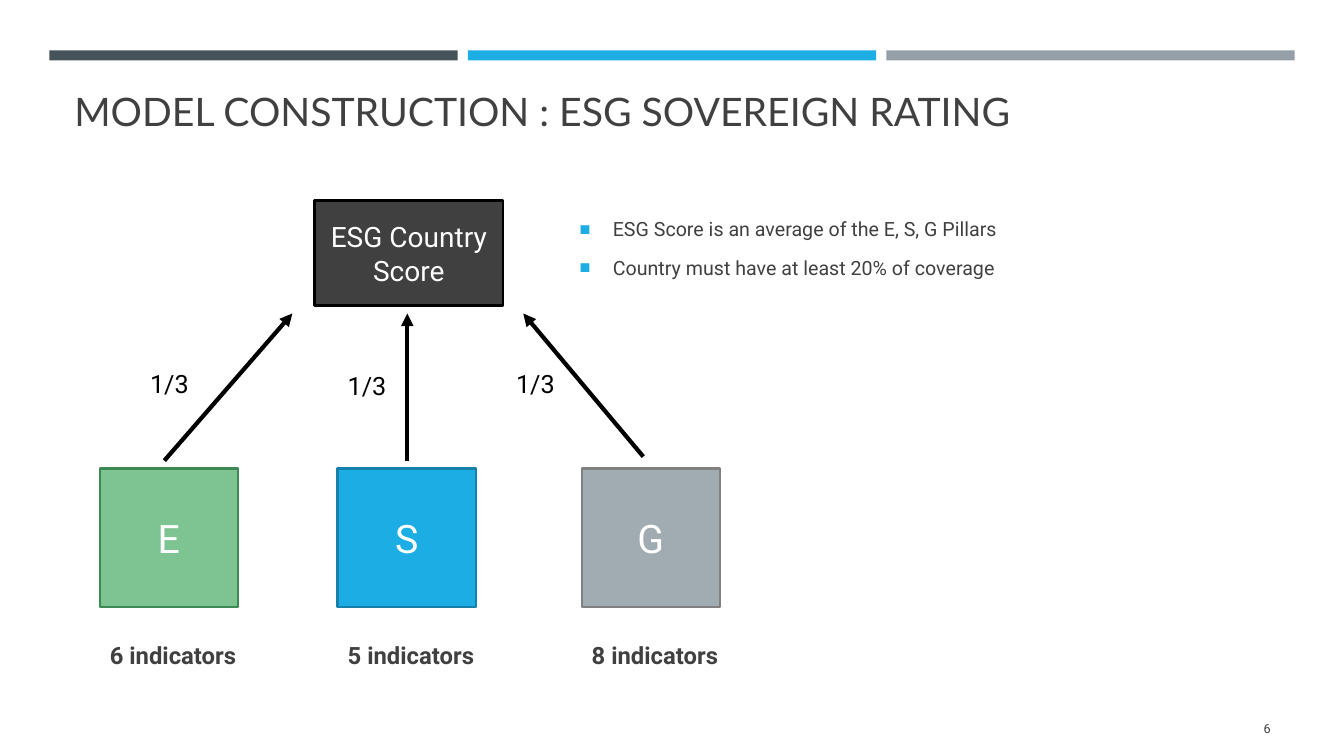
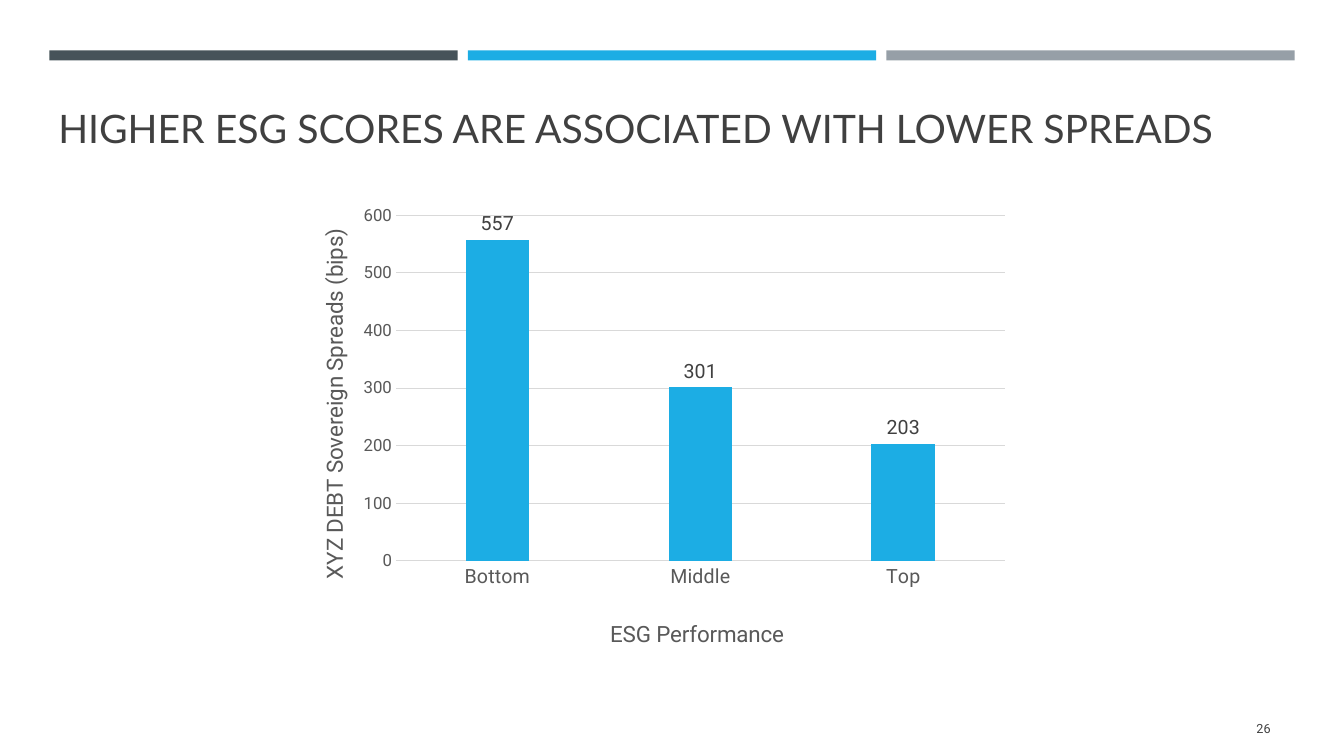
import pptx
import pptx.chart.data
import pptx.dml.color
import pptx.enum.chart
import pptx.enum.shapes
import pptx.enum.text
import pptx.oxml
import pptx.oxml.ns
import pptx.util
from collections import namedtuple

Inches = pptx.util.Inches
Pt = pptx.util.Pt
RGBColor = pptx.dml.color.RGBColor
ALIGN = pptx.enum.text.PP_ALIGN
ANCHOR = pptx.enum.text.MSO_ANCHOR
qn = pptx.oxml.ns.qn

# Shared theme
SLATE = RGBColor(0x46, 0x53, 0x59)
BLUE = RGBColor(0x1C, 0xAD, 0xE4)
STEEL = RGBColor(0x96, 0x9F, 0xA7)
CHARCOAL = RGBColor(0x40, 0x40, 0x40)
AXIS_GREY = RGBColor(0x59, 0x59, 0x59)
GRID_GREY = RGBColor(0xD9, 0xD9, 0xD9)
BLACK = RGBColor(0, 0, 0)
WHITE = RGBColor(0xFF, 0xFF, 0xFF)
GREEN = RGBColor(0x7E, 0xC4, 0x92)
GREEN_EDGE = RGBColor(0x3E, 0x88, 0x53)
BLUE_EDGE = RGBColor(0x15, 0x80, 0xA9)
GREY = RGBColor(0xA1, 0xAC, 0xB2)
GREY_EDGE = RGBColor(0x80, 0x80, 0x80)
TITLE_FONT = "Lato"
BODY_FONT = "Roboto"

# Positions are offsets from the left and top of the diagram
Pillar = namedtuple("Pillar", "letter caption fill edge left start end weight_at")
PILLARS = [
    Pillar("E", "6 indicators", GREEN, GREEN_EDGE, 0,
           (0.64, 2.58), (1.91, 1.12), (0.4, 1.61)),
    Pillar("S", "5 indicators", BLUE, BLUE_EDGE, 2.36,
           (3.05, 2.58), (3.05, 1.12), (2.36, 1.63)),
    Pillar("G", "8 indicators", GREY, GREY_EDGE, 4.78,
           (5.39, 2.54), (4.2, 1.12), (4.03, 1.61)),
]


def style_font(font, size, color, name=BODY_FONT, bold=False):
    font.size = Pt(size)
    font.color.rgb = color
    font.name = name
    font.bold = bold


def add_text(slide, box, lines, size, color=CHARCOAL, name=BODY_FONT, bold=False,
             align=ALIGN.LEFT, anchor=ANCHOR.MIDDLE):
    frame = slide.shapes.add_textbox(*map(Inches, box)).text_frame
    frame.word_wrap = True
    frame.vertical_anchor = anchor
    frame.text = lines
    for paragraph in frame.paragraphs:
        paragraph.alignment = align
        style_font(paragraph.font, size, color, name, bold)
    return frame


def add_block(slide, box, fill, edge=None, text="", size=18):
    block = slide.shapes.add_shape(
        pptx.enum.shapes.MSO_SHAPE.RECTANGLE, *map(Inches, box))
    block.shadow.inherit = False
    block.fill.solid()
    block.fill.fore_color.rgb = fill
    if edge is None:
        block.line.fill.background()
    else:
        block.line.color.rgb = edge
        block.line.width = Pt(1.75)
    if text:
        frame = block.text_frame
        frame.word_wrap = True
        frame.vertical_anchor = ANCHOR.MIDDLE
        frame.text = text
        frame.paragraphs[0].alignment = ALIGN.CENTER
        style_font(frame.paragraphs[0].font, size, WHITE)


def add_arrow(slide, start, end):
    arrow = slide.shapes.add_connector(
        pptx.enum.shapes.MSO_CONNECTOR.STRAIGHT, *map(Inches, start + end))
    arrow.line.color.rgb = BLACK
    arrow.line.width = Pt(3)
    properties = arrow.element.spPr
    line = properties.find(qn("a:ln"))
    line.append(pptx.oxml.parse_xml(
        f'<a:tailEnd {pptx.oxml.ns.nsdecls("a")} type="triangle"/>'))
    properties.append(pptx.oxml.parse_xml(
        f'<a:effectLst {pptx.oxml.ns.nsdecls("a")}/>'))


def add_base_slide(deck, title, title_box, number):
    """Blank slide with the top bands, the title and the page number."""
    slide = deck.slides.add_slide(deck.slide_layouts[6])
    for index, color in enumerate((SLATE, BLUE, STEEL)):
        add_block(slide, (0.49 + index * 4.15, 0.5, 4.05, 0.1), color)
    add_text(slide, title_box, title, 28, name=TITLE_FONT, anchor=ANCHOR.BOTTOM)
    add_text(slide, (11.55, 7.03, 1.15, 0.4), number, 9, align=ALIGN.RIGHT)
    return slide


def add_pillar_diagram(slide, left, top):
    def place(offset):
        return left + offset[0], top + offset[1]

    add_block(slide, (*place((2.13, 0)), 1.87, 1.04), CHARCOAL, BLACK,
              "ESG Country Score", 20)
    for pillar in PILLARS:
        add_block(slide, (*place((pillar.left, 2.66)), 1.37, 1.37),
                  pillar.fill, pillar.edge, pillar.letter, 28)
        add_text(slide, (*place((pillar.left, 4.26)), 2.15, 0.5),
                 pillar.caption, 17, bold=True)
        add_arrow(slide, place(pillar.start), place(pillar.end))
        add_text(slide, (*place(pillar.weight_at), 0.72, 0.4), "1/3", 18, BLACK)


def add_bullets(slide, box, lines):
    frame = add_text(slide, box, "\n".join(lines), 14)
    for paragraph in frame.paragraphs:
        paragraph.line_spacing = 1.1
        paragraph.space_before = Pt(2.8)
        paragraph.space_after = Pt(6)
        properties = paragraph._p.get_or_add_pPr()
        properties.set("marL", str(Inches(0.33)))
        properties.set("indent", str(-Inches(0.33)))
        bullet_parts = (
            f'<a:buClr {{ns}}><a:srgbClr val="{BLUE}"/></a:buClr>',
            '<a:buSzPct {ns} val="92000"/>',
            '<a:buFont {ns} typeface="Arial"/>',
            '<a:buChar {ns} char="■"/>',
        )
        for part in bullet_parts:
            properties.append(pptx.oxml.parse_xml(
                part.format(ns=pptx.oxml.ns.nsdecls("a"))))


def set_layout(parent, x, y, size=None):
    """Fix the place of a chart part, in fractions of the chart."""
    fields = [("xMode", "edge"), ("yMode", "edge"), ("x", x), ("y", y)]
    if size:
        fields.insert(0, ("layoutTarget", "inner"))
        fields += zip("wh", size)
    values = "".join(f'<c:{key} val="{value}"/>' for key, value in fields)
    layout = pptx.oxml.parse_xml(
        f'<c:layout {pptx.oxml.ns.nsdecls("c")}>'
        f'<c:manualLayout>{values}</c:manualLayout></c:layout>')
    current = parent.find(qn("c:layout"))
    if current is not None:
        parent.replace(current, layout)
    elif size:
        parent.insert(0, layout)
    else:
        parent.find(qn("c:tx")).addnext(layout)


def style_axis(axis, title, title_at, size):
    axis.major_tick_mark = pptx.enum.chart.XL_TICK_MARK.NONE
    axis.minor_tick_mark = pptx.enum.chart.XL_TICK_MARK.NONE
    style_font(axis.tick_labels.font, size, AXIS_GREY)
    frame = axis.axis_title.text_frame
    frame.text = title
    style_font(frame.paragraphs[0].font, 16, AXIS_GREY)
    set_layout(axis.axis_title._element, *title_at)


def add_spread_chart(slide, box):
    data = pptx.chart.data.CategoryChartData(number_format="0")
    data.categories = ["Bottom", "Middle", "Top"]
    data.add_series("Series 1", (557, 301, 203))
    chart = slide.shapes.add_chart(
        pptx.enum.chart.XL_CHART_TYPE.COLUMN_CLUSTERED,
        *map(Inches, box), data).chart
    chart.has_legend = False
    chart.has_title = False
    style_font(chart.font, 10, BLACK)

    # Columns and their values
    plot = chart.plots[0]
    plot.vary_by_categories = False
    plot.gap_width = 219
    plot.overlap = -27
    columns = plot.series[0].format.fill
    columns.solid()
    columns.fore_color.rgb = BLUE
    plot.has_data_labels = True
    labels = plot.data_labels
    labels.show_value = True
    labels.position = pptx.enum.chart.XL_LABEL_POSITION.OUTSIDE_END
    style_font(labels.font, 14, CHARCOAL)

    # Axes
    performance, spreads = chart.category_axis, chart.value_axis
    style_axis(performance, "ESG Performance", (0.43, 0.9), 14)
    style_axis(spreads, "XYZ DEBT Sovereign Spreads (bips)", (0.03, 0.05), 12)
    spreads.minimum_scale, spreads.maximum_scale = 0, 600
    spreads.major_unit = 100
    spreads.format.line.fill.background()
    spreads.has_major_gridlines = True
    for line in (performance.format.line, spreads.major_gridlines.format.line):
        line.color.rgb = GRID_GREY
        line.width = Pt(0.75)
    set_layout(chart._chartSpace.chart.plotArea, 0.14, 0.03, (0.84, 0.75))


def build_model_slide(deck):
    slide = add_base_slide(deck, "MODEL CONSTRUCTION : ESG SOVEREIGN RATING",
                           (0.64, 0.77, 12.06, 0.61), "6")
    add_pillar_diagram(slide, 0.99, 1.99)
    add_bullets(slide, (5.65, 1.95, 5.39, 1), [
        "ESG Score is an average of the E, S, G Pillars",
        "Country must have at least 20% of coverage",
    ])


def build_spread_slide(deck):
    slide = add_base_slide(
        deck, "HIGHER ESG SCORES ARE ASSOCIATED WITH LOWER SPREADS",
        (0.48, 0.25, 12.06, 1.3), "26")
    add_spread_chart(slide, (2.92, 2, 7.19, 4.57))


def main():
    deck = pptx.Presentation()
    deck.slide_width, deck.slide_height = Inches(13.33), Inches(7.5)
    build_model_slide(deck)
    build_spread_slide(deck)
    deck.save("out.pptx")


if __name__ == "__main__":
    main()
